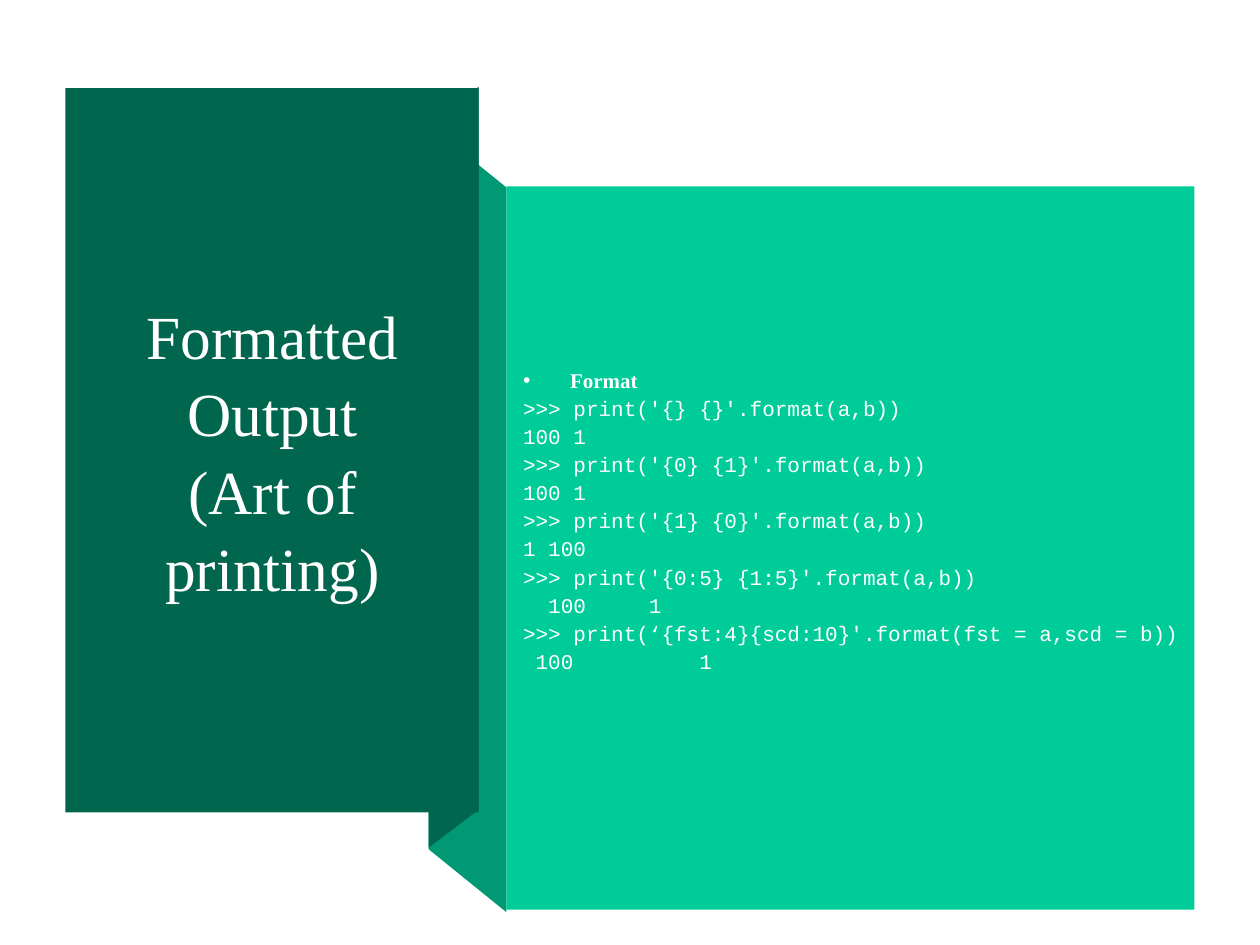
from lxml.etree import SubElement
from pptx import Presentation
from pptx.dml.color import RGBColor
from pptx.enum.shapes import MSO_SHAPE
from pptx.enum.text import MSO_ANCHOR, MSO_AUTO_SIZE, PP_ALIGN
from pptx.oxml.ns import qn
from pptx.util import Cm, Pt

COLORS = {
    "dark": "00664D",
    "fold": "009973",
    "panel": "00CC99",
    "title": "FFFFFF",
    "code": "FEFFFF",
}
SERIF, MONO = "Times New Roman", "Courier New"
LINES = [
    "Format",
    ">>> print('{} {}'.format(a,b))",
    "100 1",
    ">>> print('{0} {1}'.format(a,b))",
    "100 1",
    ">>> print('{1} {0}'.format(a,b))",
    "1 100",
    ">>> print('{0:5} {1:5}'.format(a,b))",
    "  100     1",
    ">>> print(‘{fst:4}{scd:10}'.format(fst = a,scd = b))",
    " 100          1",
]


def color(name):
    return RGBColor.from_string(COLORS[name])


def paint(shape, name):
    shape.shadow.inherit = False
    shape.fill.solid()
    shape.fill.fore_color.rgb = color(name)
    shape.line.fill.background()


def panel(slide, box, name):
    paint(slide.shapes.add_shape(MSO_SHAPE.RECTANGLE, *map(Cm, box)), name)


def fold(slide, box, points, name):
    left, top, width, height = box
    spots = [(Cm(left + width * x), Cm(top + height * y)) for x, y in points]
    form = slide.shapes.build_freeform(*spots[0])
    form.add_line_segments(spots[1:])
    paint(form.convert_to_shape(), name)


def place(holder, box):
    holder.left, holder.top, holder.width, holder.height = map(Cm, box)
    tree = holder.element.getparent()
    tree.append(holder.element)
    frame = holder.text_frame
    frame.word_wrap = True
    frame.auto_size = MSO_AUTO_SIZE.NONE
    frame.vertical_anchor = MSO_ANCHOR.MIDDLE
    return frame


def style(para, face, size, name, bold=False):
    for run in para.runs:
        font = run.font
        font.name, font.size, font.bold = face, Pt(size), bold
        font.color.rgb = color(name)


def banner(slide, box):
    left, top, width, height = box
    panel(slide, box, "dark")
    frame = place(slide.shapes.title,
                  (left + 0.64, top + 0.94, width - 1.27, height - 1.93))
    frame.text = "Formatted Output\v(Art of printing)"
    para = frame.paragraphs[0]
    para.alignment = PP_ALIGN.CENTER
    para.line_spacing = 1.05
    style(para, SERIF, 35, "title")
    for gap in para._p.findall(qn("a:br")):
        SubElement(gap, qn("a:rPr")).set("sz", "3500")


def listing(slide, box):
    left, top, width, height = box
    panel(slide, box, "panel")
    frame = place(slide.placeholders[1],
                  (left + 0.08, top + 1.02, width + 0.76, height - 2.54))
    frame.margin_bottom = Cm(0.68)
    frame.text = "\n".join(LINES)
    for i, para in enumerate(frame.paragraphs):
        head = i == 0
        para.line_spacing = 0.9
        para.space_before = Pt(3.1)
        props = para._p.get_or_add_pPr()
        dent = Cm(0.95) if head else 0
        props.set("marL", str(dent))
        props.set("indent", str(-dent))
        if head:
            SubElement(props, qn("a:buChar")).set("char", "•")
        else:
            SubElement(props, qn("a:buNone"))
        style(para, SERIF if head else MONO, 12, "code", head)


def main():
    deck = Presentation()
    deck.slide_width, deck.slide_height = Cm(25.4), Cm(19.05)
    slide = deck.slides.add_slide(deck.slide_layouts[1])
    fold(slide, (8.64, 2.51, 1.57, 15.88),
         [(1, 1), (0, 0.92), (0, 0), (1, 0.08)], "fold")
    fold(slide, (8.64, 1.75, 1.01, 15.34),
         [(1, 0.95), (0, 1), (0, 0.05), (1, 0)], "dark")
    banner(slide, (1.32, 1.78, 8.33, 14.6))
    listing(slide, (10.21, 3.76, 13.87, 14.58))
    deck.save("out.pptx")


if __name__ == "__main__":
    main()
